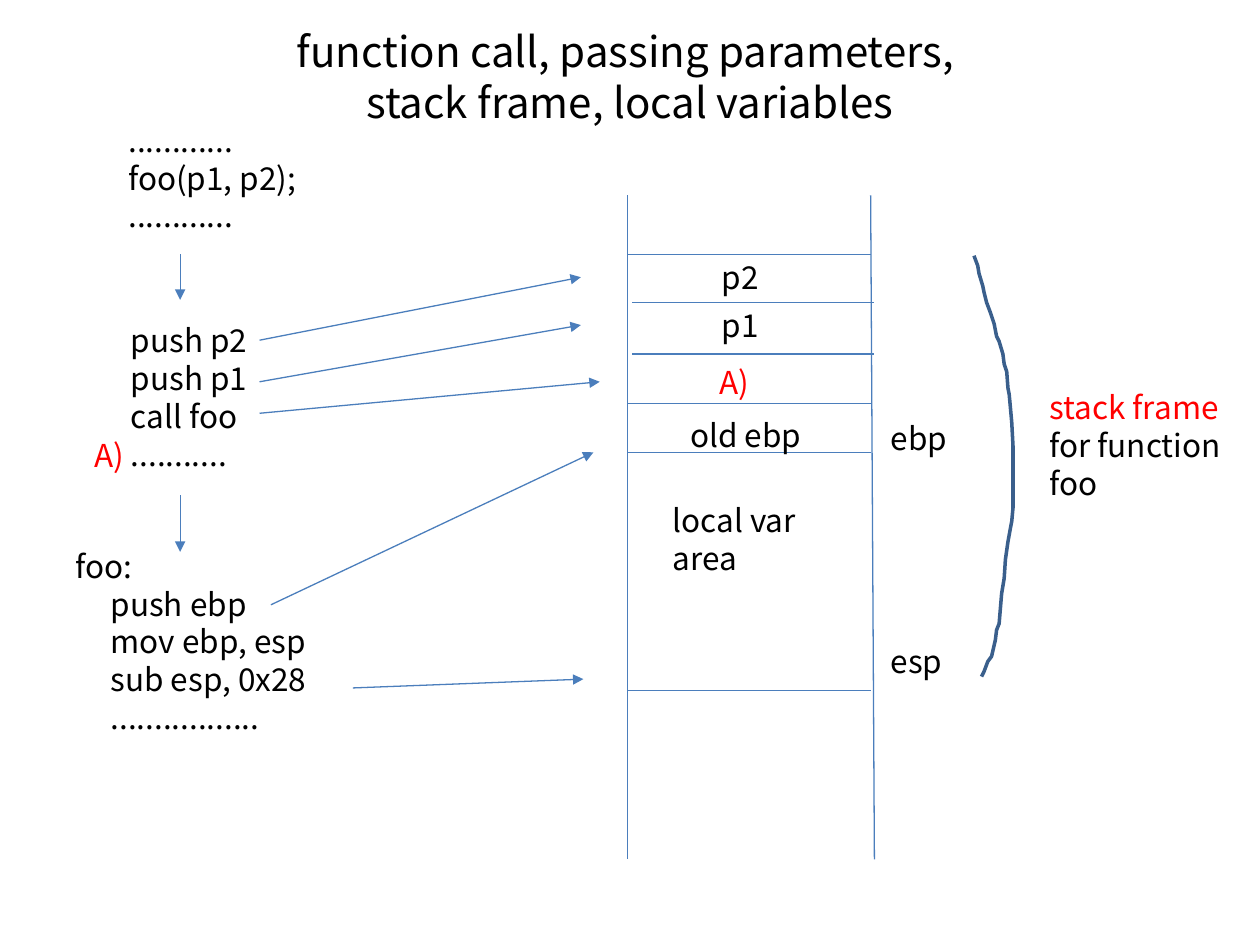
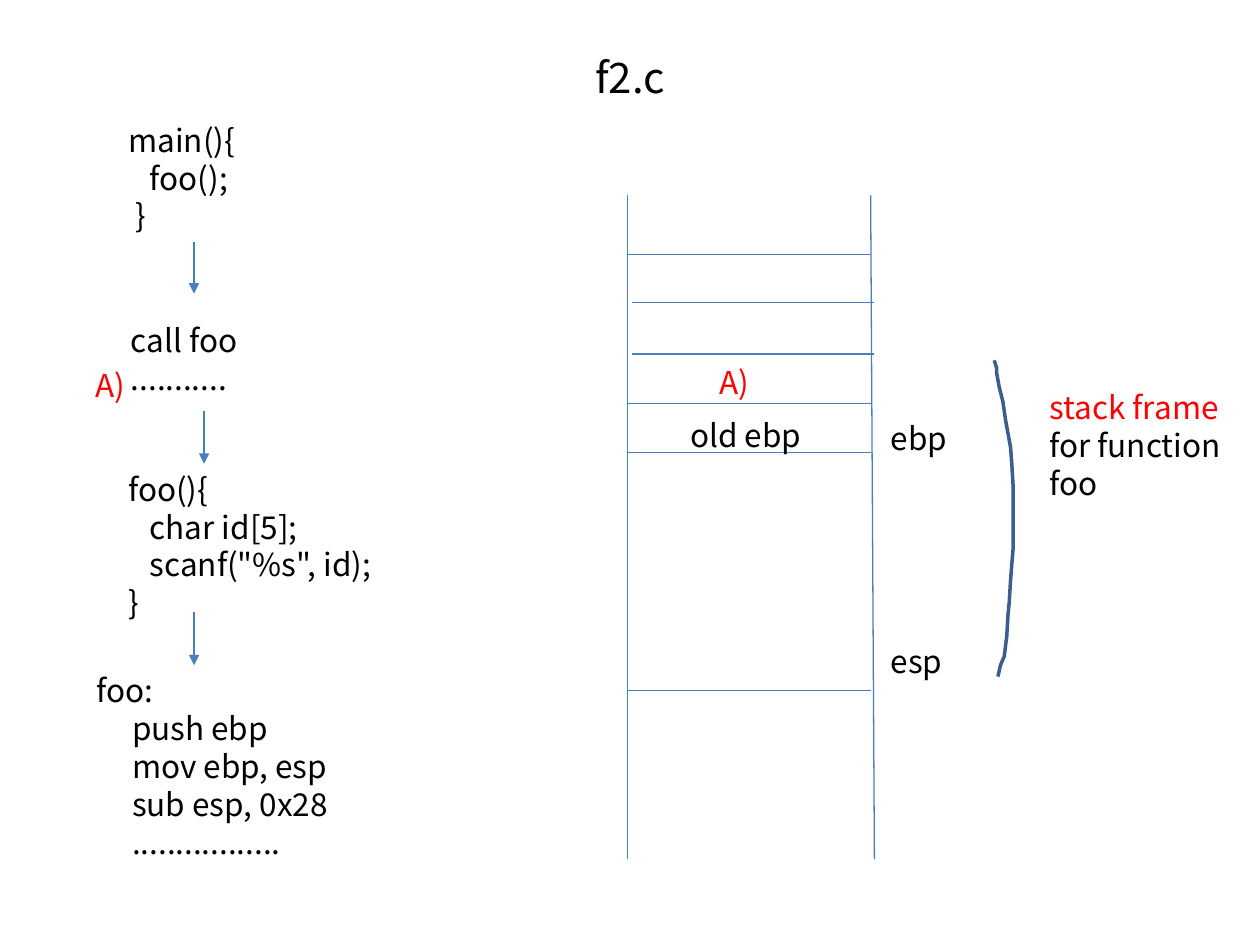
from pptx import Presentation
from pptx.dml.color import RGBColor
from pptx.enum.shapes import MSO_CONNECTOR
from pptx.enum.text import MSO_ANCHOR, PP_ALIGN
from pptx.oxml.ns import qn
from pptx.util import Inches, Pt
from lxml.etree import SubElement

BLACK = RGBColor(0x00, 0x00, 0x00)
RED = RGBColor(0xFF, 0x00, 0x00)
BLUE = RGBColor(0x4B, 0x7E, 0xBC)
NAVY = RGBColor(0x3A, 0x5F, 0x8C)
FACE = "Noto Sans CJK KR"
BODY = {"name": FACE, "size": Pt(18)}
HEAD = {"name": FACE, "size": Pt(24)}
ROW = 0.3  # height of one line of body text

# Code lines are (text, indent in inches)
ENTRY = [("foo:", 0), ("push ebp", 0.28), ("mov ebp, esp", 0.28),
         ("sub esp, 0x28", 0.28), (".................", 0.28)]

# Outlines of the stack frame arcs, top to bottom
LONG_ARC = [(7.73, 2.03), (7.76, 2.11), (7.77, 2.17), (7.8, 2.27), (7.81, 2.32),
            (7.83, 2.4), (7.86, 2.48), (7.89, 2.57), (7.91, 2.67), (7.93, 2.71),
            (7.96, 2.81), (7.97, 2.89), (7.99, 2.95), (8, 3.08), (8.01, 3.13),
            (8.03, 3.35), (8.04, 3.54), (8.04, 4.03), (8.03, 4.14), (8.02, 4.19),
            (8, 4.3), (7.98, 4.44), (7.97, 4.59), (7.95, 4.71), (7.93, 4.95),
            (7.91, 5), (7.9, 5.08), (7.87, 5.21), (7.84, 5.25), (7.81, 5.33),
            (7.79, 5.37)]
SHORT_ARC = [(7.89, 2.86), (7.91, 2.92), (7.91, 2.96), (7.93, 3.07), (7.96, 3.19),
             (7.98, 3.33), (8, 3.44), (8.02, 3.55), (8.03, 3.68), (8.04, 3.85),
             (8.04, 4.36), (8.03, 4.48), (8.02, 4.61), (8.01, 4.78), (8, 4.88),
             (7.99, 5.05), (7.97, 5.21), (7.94, 5.28), (7.92, 5.37)]


def style(obj, form):
    for key, val in form.items():
        setattr(obj, key, val)


def add_text(slide, left, top, width, lines, color=BLACK, font=BODY, tall=None):
    """Add a text box; each line is a string or a (text, indent) pair."""
    tall = tall or ROW * len(lines) + 0.1
    box = slide.shapes.add_textbox(*map(Inches, (left, top, width, tall)))
    frame = box.text_frame
    frame.word_wrap = True
    for num, line in enumerate(lines):
        text, indent = (line, 0) if isinstance(line, str) else line
        para = frame.add_paragraph() if num else frame.paragraphs[0]
        para.text = text
        style(para.font, font)
        para.font.color.rgb = color
        for run in para.runs:
            style(run.font, font)
            run.font.color.rgb = color
        if indent:
            para._p.get_or_add_pPr().set("marL", str(Inches(indent)))
    return frame


def add_title(slide, text):
    frame = add_text(slide, 0.5, 0.3, 9, [text], font=HEAD, tall=0.61)
    frame.vertical_anchor = MSO_ANCHOR.MIDDLE
    frame.paragraphs[0].alignment = PP_ALIGN.CENTER


def add_line(slide, x1, y1, x2, y2, arrow=False):
    line = slide.shapes.add_connector(
        MSO_CONNECTOR.STRAIGHT, *map(Inches, (x1, y1, x2, y2)))
    line.line.color.rgb = BLUE
    line.line.width = Pt(0.75)
    if arrow:
        SubElement(line.line._get_or_add_ln(), qn("a:tailEnd"), type="triangle")
    SubElement(line._element.spPr, qn("a:effectLst"))


def add_arc(slide, points):
    spots = [(Inches(x), Inches(y)) for x, y in points]
    build = slide.shapes.build_freeform(*spots[0])
    build.add_line_segments(spots[1:], close=False)
    arc = build.convert_to_shape()
    arc.shadow.inherit = False
    arc.fill.background()
    arc.line.color.rgb = NAVY
    arc.line.width = Pt(2)


def add_stack(slide, arc):
    """Draw the stack, its registers and the arc that marks the frame."""
    add_line(slide, 4.98, 1.55, 4.98, 6.82)
    add_line(slide, 6.91, 1.55, 6.94, 6.82)
    for y in (2.02, 3.2, 3.59, 5.48):
        add_line(slide, 4.98, y, 6.91, y)
    for y in (2.4, 2.81):
        add_line(slide, 5.02, y, 6.94, y)
    add_text(slide, 5.61, 2.83, 1.02, ["A)"], RED)
    for text, left, top in (("ebp", 6.97, 3.28), ("old ebp", 5.38, 3.25),
                            ("esp", 6.97, 5.05)):
        add_text(slide, left, top, 1.59, [text])
    add_arc(slide, arc)
    note = add_text(slide, 8.23, 3.03, 1.59,
                    ["stack frame", "for function foo"], tall=1.01)
    note.paragraphs[0].runs[0].font.color.rgb = RED


def add_call(slide):
    """Passing parameters and building the frame."""
    add_title(slide, "function call, passing parameters, \vstack frame, local variables")
    add_stack(slide, LONG_ARC)

    # Code on the left
    dots = "............"
    add_text(slide, 0.92, 0.91, 1.65, [dots, "foo(p1, p2);", dots])
    add_text(slide, 0.94, 2.5, 2.24, ["push p2", "push p1", "call foo", "..........."])
    add_text(slide, 0.65, 3.41, 1.02, ["A)"], RED)
    add_text(slide, 0.5, 4.29, 2.24, ENTRY, tall=1.92)

    # Stack content
    add_text(slide, 5.63, 2, 1.02, ["p2"])
    add_text(slide, 5.63, 2.38, 1.02, ["p1"])
    add_text(slide, 5.24, 3.93, 1.24, ["local var", "area"])

    # Flow of the code, then code to stack
    for ends in ((1.43, 2.02, 1.43, 2.38), (1.43, 3.93, 1.43, 4.38),
                 (2.06, 2.7, 4.61, 2.2), (2.06, 3.03, 4.61, 2.58),
                 (2.06, 3.28, 4.76, 3.03), (2.15, 4.8, 4.71, 3.59),
                 (2.8, 5.46, 4.63, 5.39)):
        add_line(slide, *ends, arrow=True)


def add_sample(slide):
    """The f2.c program and its frame."""
    add_title(slide, "f2.c")
    add_stack(slide, SHORT_ARC)

    # Code on the left
    add_text(slide, 0.92, 0.91, 1.65, ["main(){", ("foo();", 0.17), ("}", 0.06)])
    add_text(slide, 0.94, 2.5, 2.24, ["call foo", "..........."])
    add_text(slide, 0.66, 2.86, 1.02, ["A)"], RED)
    add_text(slide, 0.92, 3.68, 2.19,
             ["foo(){", ("char id[5];", 0.17), ('scanf("%s", id);', 0.17), "}"])
    add_text(slide, 0.67, 5.28, 2.24, ENTRY, tall=1.92)

    # Flow of the code
    for x, top, end in ((1.54, 1.92, 2.33), (1.62, 3.26, 3.68), (1.54, 4.86, 5.28)):
        add_line(slide, x, top, x, end, arrow=True)


def main():
    deck = Presentation()
    style(deck, {"slide_width": Inches(10), "slide_height": Inches(7.5)})
    for draw in (add_call, add_sample):
        draw(deck.slides.add_slide(deck.slide_layouts[6]))
    deck.save("out.pptx")


main()
